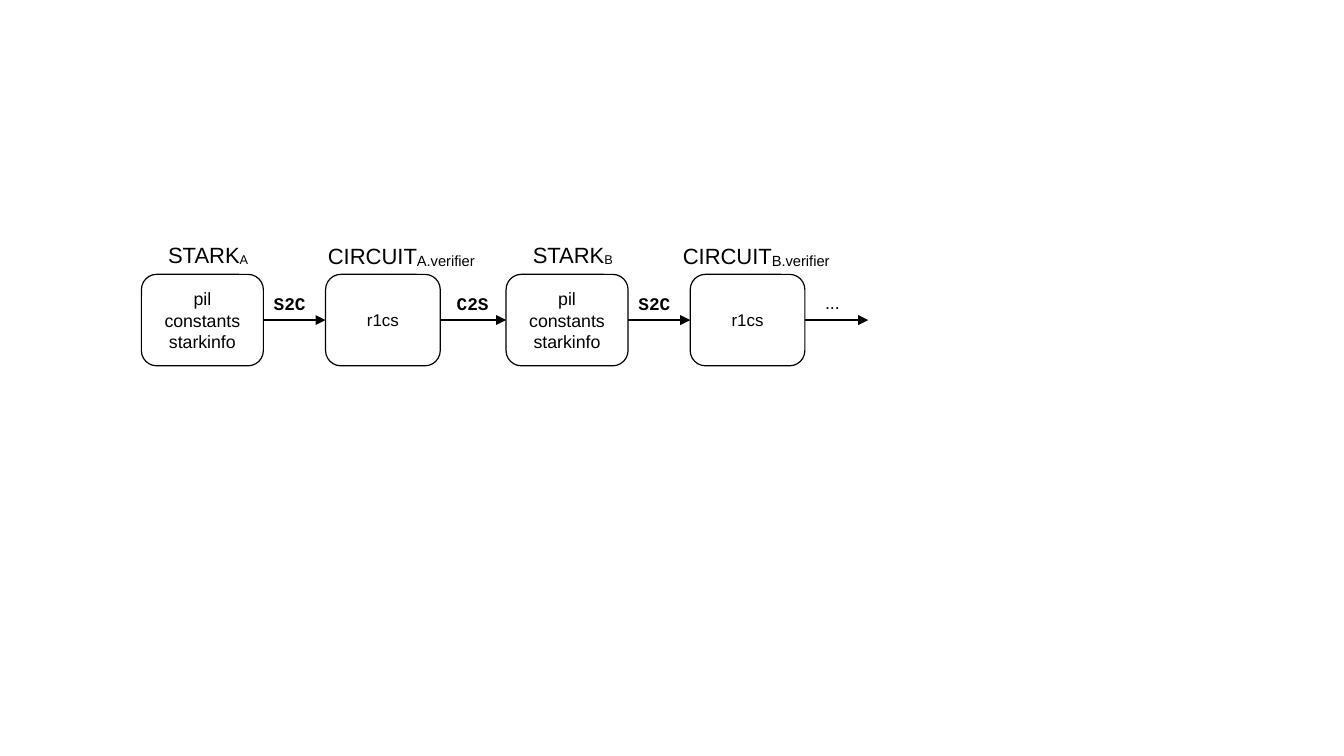
from dataclasses import dataclass

from lxml import etree
from pptx import Presentation
from pptx.dml.color import RGBColor
from pptx.enum import shapes, text
from pptx.oxml import ns
from pptx.shapes.autoshape import Shape
from pptx.shapes.connector import Connector
from pptx.slide import Slide
from pptx.util import Inches, Pt

BLACK = RGBColor(0, 0, 0)
WHITE = RGBColor(255, 255, 255)
LINE_WIDTH = Pt(0.71)
BOX_TOP, BOX_HEIGHT = 2.25, 0.75
MIDDLE = BOX_TOP + BOX_HEIGHT / 2
STEP = 2.99


@dataclass
class Stage:
    left: float
    width: float
    content: str
    size: float


@dataclass
class Span:
    words: str
    size: float
    font: str = "Arial"
    bold: bool = False
    baseline: int = 0


@dataclass
class Label:
    left: float
    top: float
    width: float
    height: float
    spans: list[Span]
    align: text.PP_ALIGN = text.PP_ALIGN.CENTER


def stark_stage(index: int) -> Stage:
    return Stage(1.16 + index * STEP, 1, "pil\nconstants\nstarkinfo", 10.5)


def circuit_stage(index: int) -> Stage:
    return Stage(2.67 + index * STEP, 0.94, "r1cs", 10)


def stark_title(index: int, name: str) -> Label:
    spans = [Span("STARK", 13), Span(name, 13, baseline=-8000)]
    return Label(1.28 + index * STEP, 1.88, 1.25, 0.41, spans, text.PP_ALIGN.LEFT)


def circuit_title(left: float, name: str) -> Label:
    spans = [Span("CIRCUIT", 13), Span(f"{name}.verifier", 15, baseline=-8000)]
    return Label(left, 1.92, 1.42, 0.33, spans)


def arrow_label(left: float, words: str) -> Label:
    return Label(left, 2.36, 0.75, 0.26, [Span(words, 10.5, "Courier New", True)])


STAGES = [stark_stage(0), circuit_stage(0), stark_stage(1), circuit_stage(1)]
LABELS = [
    stark_title(0, "A"),
    circuit_title(2.58, "A"),
    stark_title(1, "B"),
    circuit_title(5.49, "B"),
    arrow_label(2, "S2C"),
    arrow_label(3.5, "C2S"),
    arrow_label(2 + STEP, "S2C"),
    Label(6.45, 2.35, 0.75, 0.26, [Span("...", 10.5)]),
]


def draw_stage(page: Slide, stage: Stage) -> Shape:
    box = page.shapes.add_shape(
        shapes.MSO_SHAPE.ROUNDED_RECTANGLE,
        Inches(stage.left), Inches(BOX_TOP), Inches(stage.width), Inches(BOX_HEIGHT),
    )
    box.shadow.inherit = False
    box.fill.solid()
    box.fill.fore_color.rgb = WHITE
    box.line.color.rgb = BLACK
    box.line.width = LINE_WIDTH
    frame = box.text_frame
    frame.vertical_anchor = text.MSO_ANCHOR.MIDDLE
    frame.text = stage.content
    for para in frame.paragraphs:
        para.alignment = text.PP_ALIGN.CENTER
        for run in para.runs:
            run.font.name = "Arial"
            run.font.size = Pt(stage.size)
            run.font.color.rgb = BLACK
    return box


def draw_arrow(page: Slide, start: float, end: float) -> Connector:
    arrow = page.shapes.add_connector(
        shapes.MSO_CONNECTOR.STRAIGHT,
        Inches(start), Inches(MIDDLE), Inches(end), Inches(MIDDLE),
    )
    arrow.line.color.rgb = BLACK
    arrow.line.width = LINE_WIDTH
    etree.SubElement(arrow.line._get_or_add_ln(), ns.qn("a:tailEnd"), type="triangle")
    etree.SubElement(arrow._element.spPr, ns.qn("a:effectLst"))
    return arrow


def draw_label(page: Slide, label: Label) -> None:
    box = page.shapes.add_textbox(
        Inches(label.left), Inches(label.top), Inches(label.width), Inches(label.height)
    )
    frame = box.text_frame
    frame.word_wrap = True
    frame.vertical_anchor = text.MSO_ANCHOR.MIDDLE
    para = frame.paragraphs[0]
    para.alignment = label.align
    for span in label.spans:
        run = para.add_run()
        run.text = span.words
        run.font.name = span.font
        run.font.size = Pt(span.size)
        run.font.bold = span.bold
        run.font.color.rgb = BLACK
        if span.baseline:
            run._r.get_or_add_rPr().set("baseline", str(span.baseline))


def main() -> None:
    deck = Presentation()
    deck.slide_width, deck.slide_height = Inches(11.02), Inches(6.2)
    page = deck.slides.add_slide(deck.slide_layouts[6])
    boxes = [draw_stage(page, stage) for stage in STAGES]
    for index, stage in enumerate(STAGES):
        right = stage.left + stage.width
        arrow = draw_arrow(page, right, right + 0.52)
        arrow.begin_connect(boxes[index], 3)
        if index + 1 < len(boxes):
            arrow.end_connect(boxes[index + 1], 1)
    for label in LABELS:
        draw_label(page, label)
    deck.save("out.pptx")


if __name__ == "__main__":
    main()
